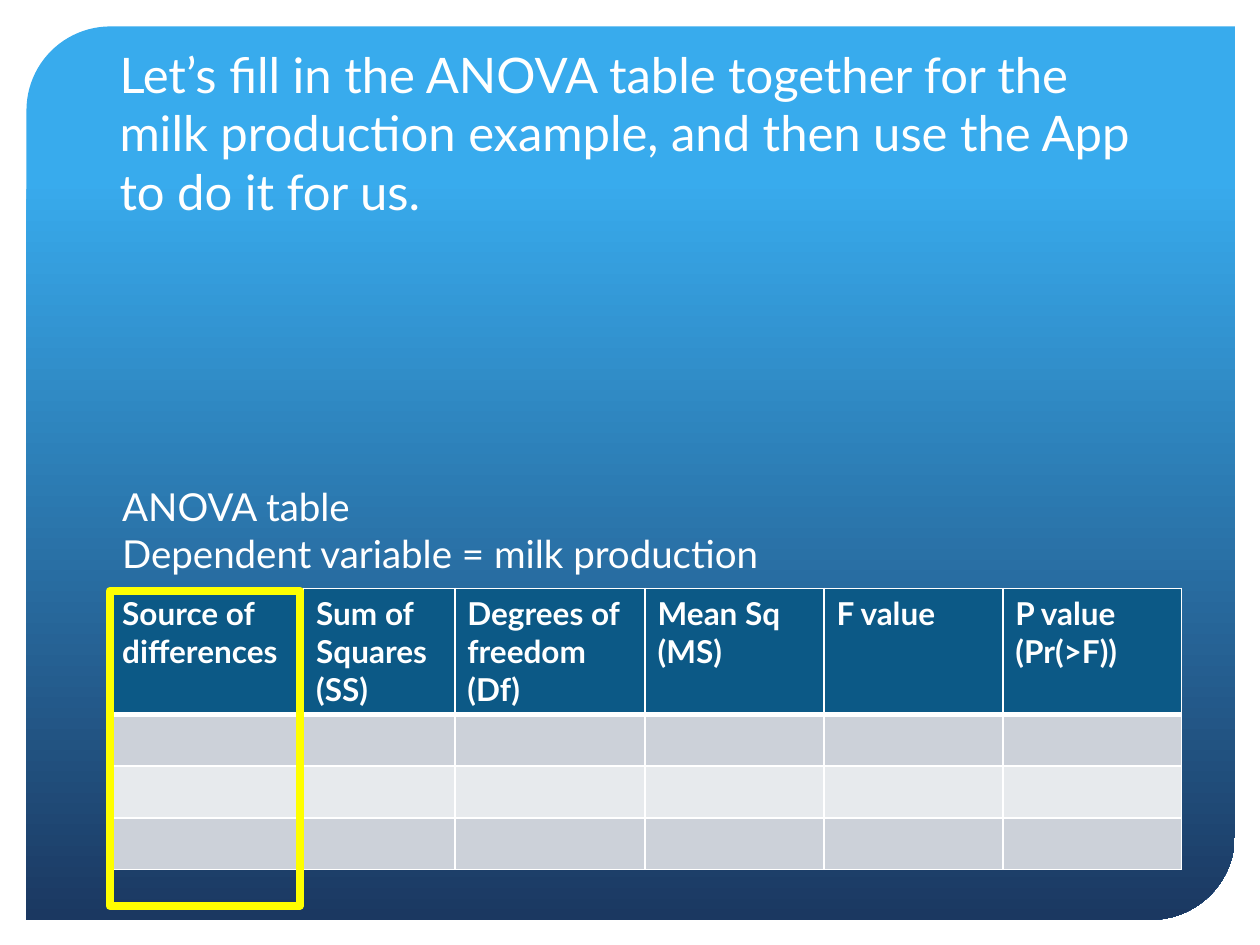
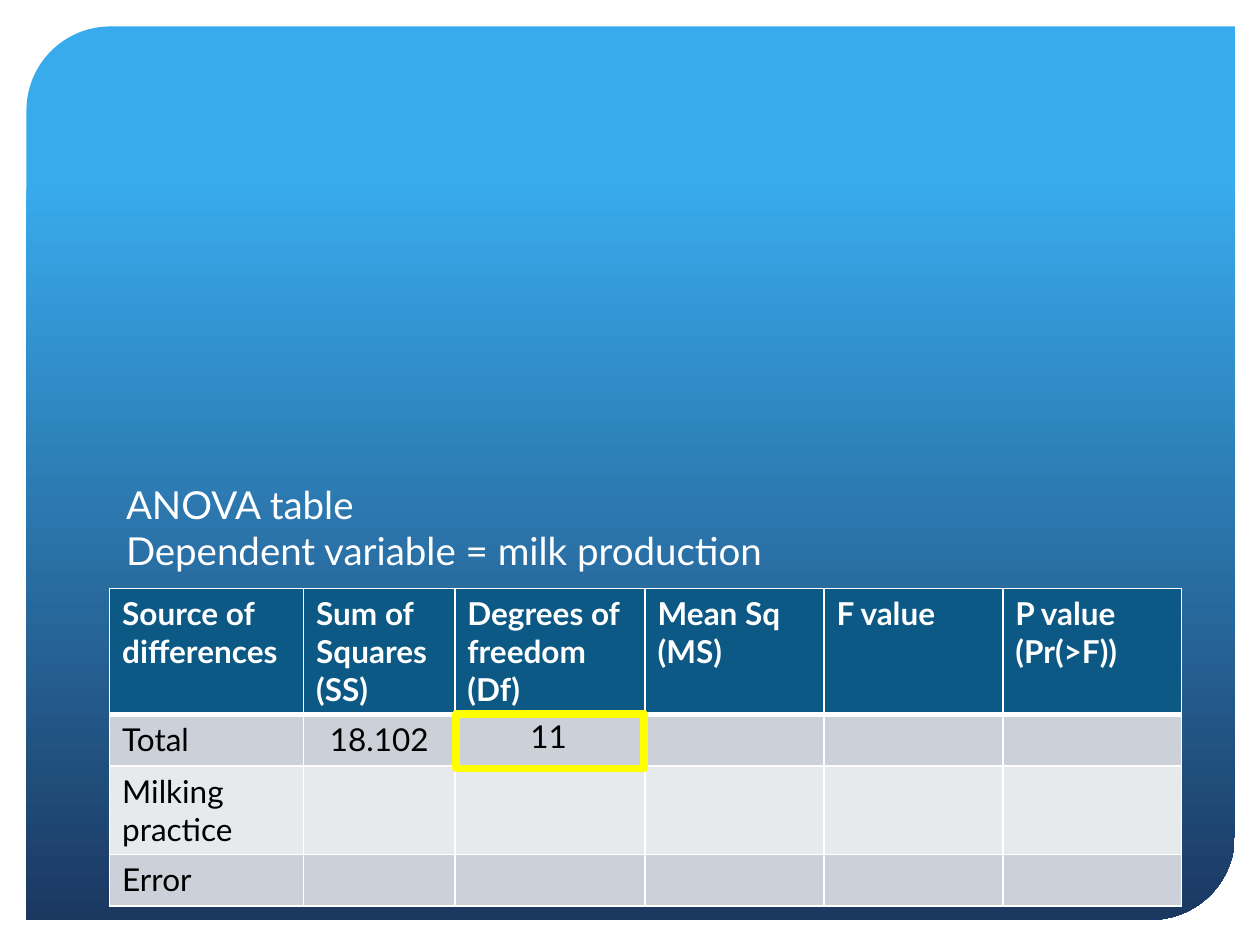
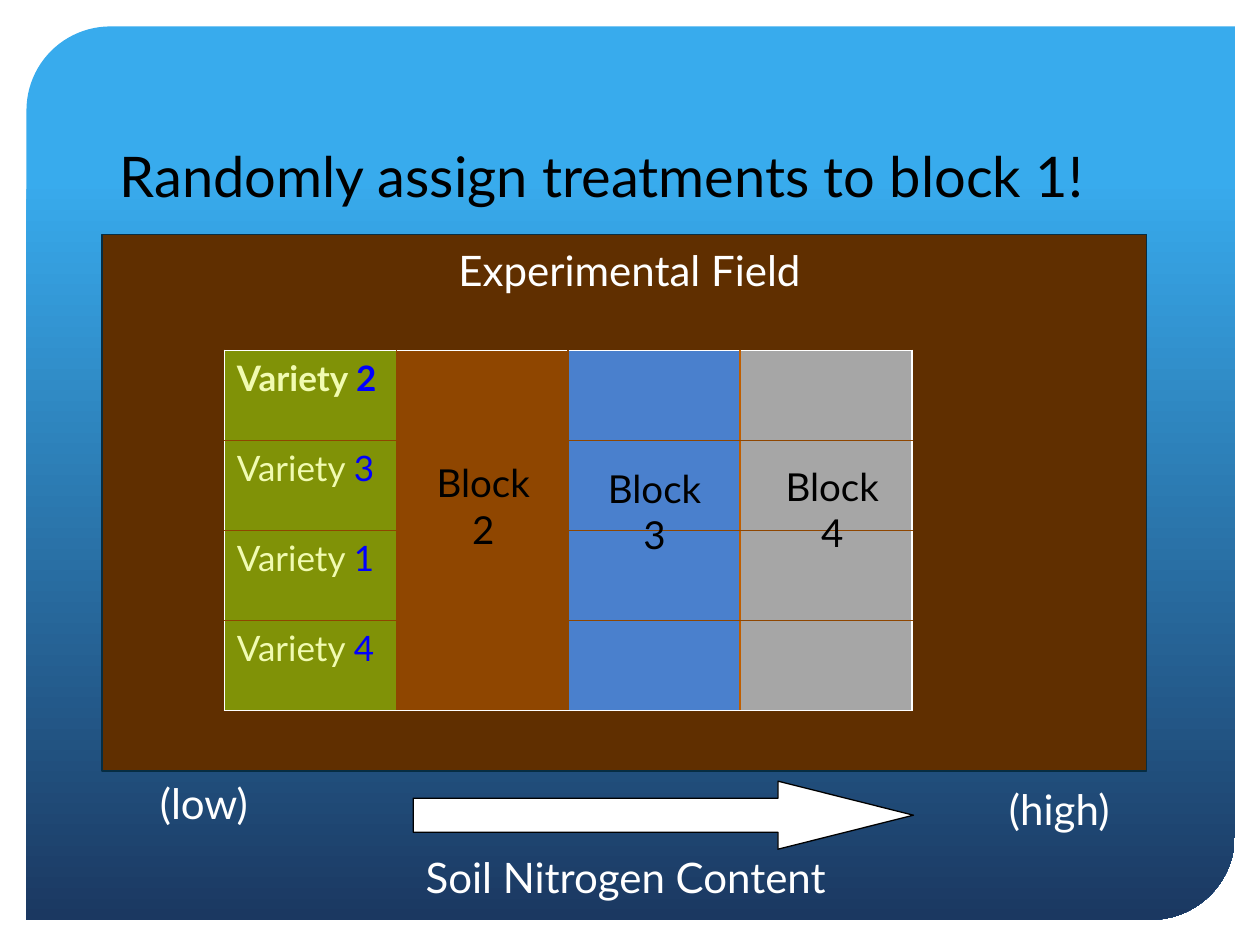
from lxml.etree import SubElement
from pptx import Presentation
from pptx.dml.color import RGBColor
from pptx.enum.shapes import MSO_SHAPE
from pptx.enum.text import MSO_ANCHOR, MSO_AUTO_SIZE, PP_ALIGN
from pptx.oxml.ns import qn
from pptx.util import Inches, Pt

FONT = "Lato"
COLORS = {
    "white": "FFFFFF", "black": "000000", "yellow": "FFFF00",
    "sky": "38ABED", "navy": "1B3861",
    "header": "0C5986", "band_dark": "CCD1D9", "band_light": "E7EAED",
    "soil": "602F00", "soil_line": "062D43",
    "green": "809207", "lime": "F1FBB1", "brown": "8F4600",
    "orange": "BF5E00", "blue": "4A80CD", "gray": "A6A6A6", "number": "0000FF",
}
ANOVA_CAPTION = "ANOVA table\vDependent variable = milk production"
ANOVA_HEADERS = ["Source of differences", "Sum of Squares\n(SS)", "Degrees of freedom (Df)",
                 "Mean Sq\n(MS)", "F value", "P value\n(Pr(>F))"]
ANOVA_WIDTHS = [1.54, 1.2, 1.51, 1.42, 1.42, 1.42]
ANOVA_ROW_HEIGHT = 0.41
ANOVA_BOX = (0.87, 4.67, 8.5, 2.51)


def color(name):
    return RGBColor.from_string(COLORS[name])


def inches(box):
    return [Inches(length) for length in box]


def format_text(text_frame, size, color_name, bold=False, align=PP_ALIGN.LEFT):
    for paragraph in text_frame.paragraphs:
        paragraph.alignment = align
        for run in paragraph.runs:
            run.font.name = FONT
            run.font.size = Pt(size)
            run.font.bold = bold
            run.font.color.rgb = color(color_name)


def set_title(slide, box, text, size, color_name="white"):
    title = slide.shapes.title
    title.left, title.top, title.width, title.height = inches(box)
    frame = title.text_frame
    frame.text = text
    frame.word_wrap = True
    frame.auto_size = MSO_AUTO_SIZE.NONE
    frame.vertical_anchor = MSO_ANCHOR.BOTTOM
    format_text(frame, size, color_name)


def add_text(slide, box, text, size, color_name="white", align=PP_ALIGN.LEFT,
             anchor=MSO_ANCHOR.TOP, vertical_inset=0.05):
    frame = slide.shapes.add_textbox(*inches(box)).text_frame
    frame.text = text
    frame.word_wrap = True
    frame.vertical_anchor = anchor
    frame.margin_top = frame.margin_bottom = Inches(vertical_inset)
    format_text(frame, size, color_name, align=align)


def add_box(slide, kind, box, line, width, fill=None):
    shape = slide.shapes.add_shape(kind, *inches(box))
    shape.shadow.inherit = False
    if fill:
        shape.fill.solid()
        shape.fill.fore_color.rgb = color(fill)
    else:
        shape.fill.background()
    shape.line.color.rgb = color(line)
    shape.line.width = Pt(width)
    return shape


def add_backdrop(slide):
    """Put the gradient panel on the slide's layout, shared by all slides."""
    panel = slide.shapes.add_shape(MSO_SHAPE.ROUND_2_DIAG_RECTANGLE,
                                   *inches((0.21, 0.21, 9.59, 7.09)))
    panel.adjustments[0] = 0.094
    panel.adjustments[1] = 0
    panel.shadow.inherit = False
    panel.line.fill.background()
    panel.fill.gradient()
    panel.fill.gradient_angle = 270
    for stop, position, name in zip(panel.fill.gradient_stops, (0.17, 1), ("sky", "navy")):
        stop.position = position
        stop.color.rgb = color(name)
    slide.slide_layout.shapes._spTree.insert(2, panel._element)


def paint_cell(cell, fill, borders):
    """Borders are (color, points) pairs in the order left, right, top, bottom."""
    properties = cell._tc.get_or_add_tcPr()
    for side, (name, points) in zip("LRTB", borders):
        line = SubElement(properties, qn(f"a:ln{side}"), w=str(Pt(points)))
        solid = SubElement(line, qn("a:solidFill"))
        SubElement(solid, qn("a:srgbClr"), val=COLORS[name])
    cell.fill.solid()
    cell.fill.fore_color.rgb = color(fill)


def add_plain_table(slide, box, widths, heights):
    frame = slide.shapes.add_table(len(heights), len(widths), *inches(box))
    table = frame.table
    table.first_row = table.horz_banding = False
    for column, width in zip(table.columns, widths):
        column.width = Inches(width)
    for row, height in zip(table.rows, heights):
        row.height = Inches(height)
    frame.height = Inches(box[3])
    return table


def add_anova_table(slide, box, body):
    rows = [ANOVA_HEADERS] + body
    table = add_plain_table(slide, box, ANOVA_WIDTHS, [ANOVA_ROW_HEIGHT] * len(rows))
    thin, thick = ("white", 1), ("white", 3)
    for row_index, row in enumerate(rows):
        header = row_index == 0
        fill = "header" if header else "band_dark" if row_index % 2 else "band_light"
        top = thick if row_index == 1 else thin
        bottom = thick if header else thin
        for column_index in range(len(ANOVA_WIDTHS)):
            cell = table.cell(row_index, column_index)
            paint_cell(cell, fill, (thin, thin, top, bottom))
            if column_index < len(row):
                cell.text = row[column_index]
                centered = not header and column_index > 0
                format_text(cell.text_frame, 18, "white" if header else "black", header,
                            PP_ALIGN.CENTER if centered else PP_ALIGN.LEFT)


def add_block_table(slide, box, varieties):
    fills = ["green", "brown", "blue", "gray"]
    vertical_lines = ["white", "brown", "brown", "orange", "white"]
    horizontal_lines = ["white"] + ["brown"] * (len(varieties) - 1) + ["white"]
    table = add_plain_table(slide, box, [box[2] / len(fills)] * len(fills),
                            [box[3] / len(varieties)] * len(varieties))
    for row, variety in enumerate(varieties):
        for column, fill in enumerate(fills):
            names = vertical_lines[column:column + 2] + horizontal_lines[row:row + 2]
            paint_cell(table.cell(row, column), fill, [(name, 1) for name in names])
        # Variety label with its number in a second colour
        frame = table.cell(row, 0).text_frame
        paragraph = frame.paragraphs[0]
        paragraph.add_run().text = "Variety "
        number = paragraph.add_run()
        number.text = str(variety)
        format_text(frame, 20, "lime", bold=row == 0)
        number.font.color.rgb = color("number")


def add_field(slide, box):
    left, top, width, height = box
    add_box(slide, MSO_SHAPE.RECTANGLE, box, "soil_line", 0.75, "soil")
    add_text(slide, (left + 2.73, top + 0.03, 3.43, 0.5), "Experimental Field", 24)
    add_block_table(slide, (left + 0.97, top + 0.92, 5.46, 2.86), [2, 3, 1, 4])
    for block, x, y in ((2, 2.4, 1.42), (3, 3.76, 1.46), (4, 5.17, 1.45)):
        add_text(slide, (left + x, top + y, 1.25, 1.88), f"Block\n{block}", 22, "black",
                 PP_ALIGN.CENTER, vertical_inset=0.5)


def add_nitrogen_scale(slide, left, top):
    arrow = add_box(slide, MSO_SHAPE.RIGHT_ARROW, (left + 2.11, top + 0.08, 3.97, 0.54),
                    "black", 0.75, "white")
    arrow.adjustments[0] = 0.5
    arrow.adjustments[1] = 1.99
    add_text(slide, (left + 2.11, top + 0.59, 3.43, 0.5), "Soil Nitrogen Content", 24)
    add_text(slide, (left, top, 1.04, 0.5), "(low)", 24)
    add_text(slide, (left + 6.74, top + 0.05, 1.24, 0.5), "(high)", 24)


def build_empty_anova(slide):
    set_title(slide, (0.87, 3.48, 8.29, 1.14), ANOVA_CAPTION, 22)
    add_anova_table(slide, ANOVA_BOX, [[], [], []])
    add_text(slide, (0.85, 0.66, 8.29, 1.14),
             "Let’s fill in the ANOVA table together for the milk production example, "
             "and then use the App to do it for us.", 28, anchor=MSO_ANCHOR.BOTTOM)
    # Highlight on the first column
    add_box(slide, MSO_SHAPE.RECTANGLE, (0.87, 4.69, 1.51, 2.5), "yellow", 4.5)


def build_total_anova(slide):
    set_title(slide, (0.9, 3.46, 8.29, 1.14), ANOVA_CAPTION, 22)
    add_anova_table(slide, ANOVA_BOX, [["Total", "18.102"], ["Milking practice"], ["Error"]])
    # Highlighted degrees of freedom
    add_box(slide, MSO_SHAPE.RECTANGLE, (3.62, 5.67, 1.49, 0.43), "yellow", 4.5)
    add_text(slide, (3.97, 5.64, 0.77, 0.4), "11", 18, "black", PP_ALIGN.CENTER)


def build_field_blocks(slide):
    set_title(slide, (0.85, 0.57, 8.29, 1.14), "Randomly assign treatments to block 1!",
              32, "black")
    add_field(slide, (0.81, 1.86, 8.29, 4.26))
    add_nitrogen_scale(slide, 1.17, 6.12)


def main():
    presentation = Presentation()
    presentation.slide_width = Inches(10)
    presentation.slide_height = Inches(7.5)
    title_only = presentation.slide_layouts[5]
    builders = (build_empty_anova, build_total_anova, build_field_blocks)
    slides = [presentation.slides.add_slide(title_only) for _ in builders]
    add_backdrop(slides[0])
    for build, slide in zip(builders, slides):
        build(slide)
    presentation.save("out.pptx")


if __name__ == "__main__":
    main()
